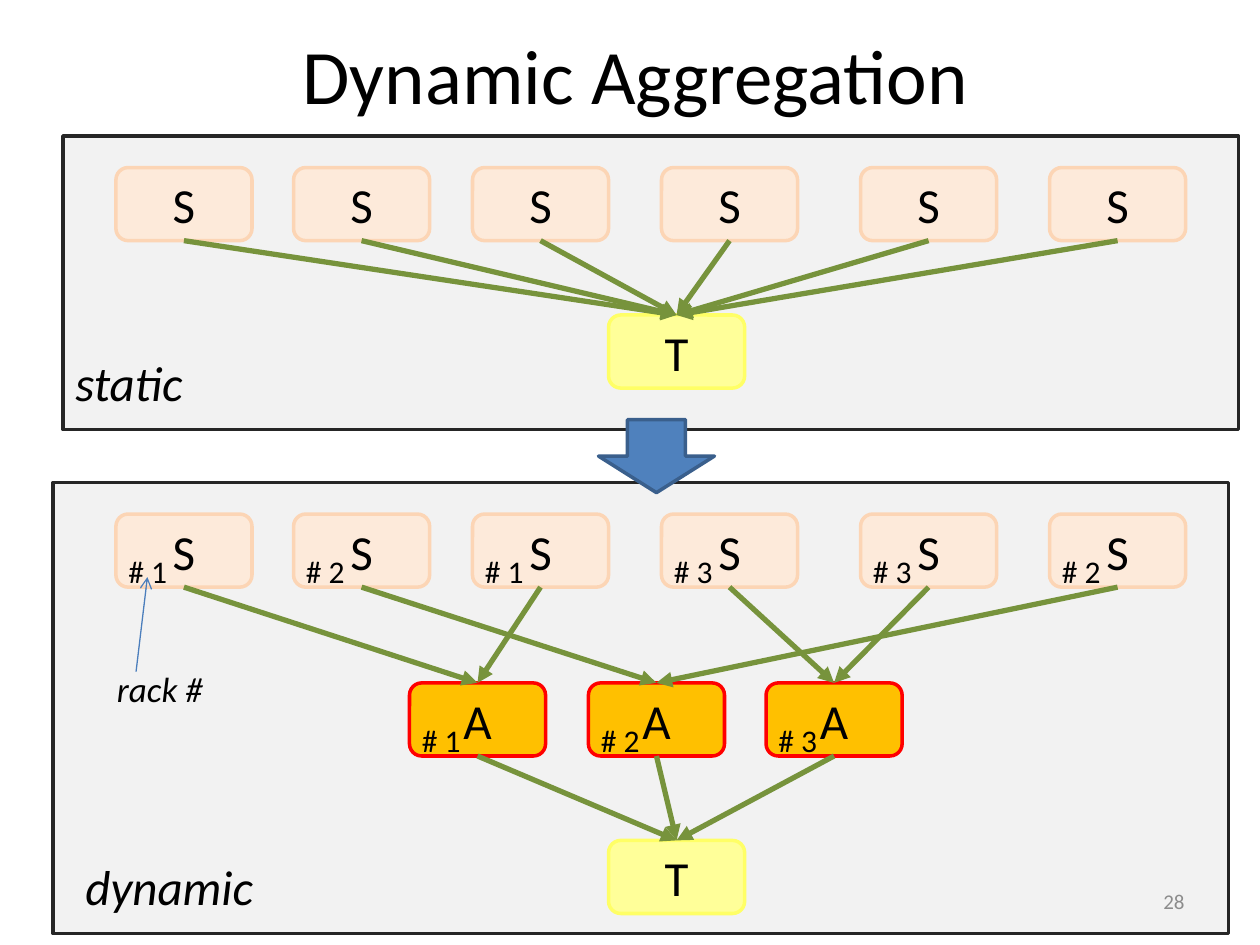
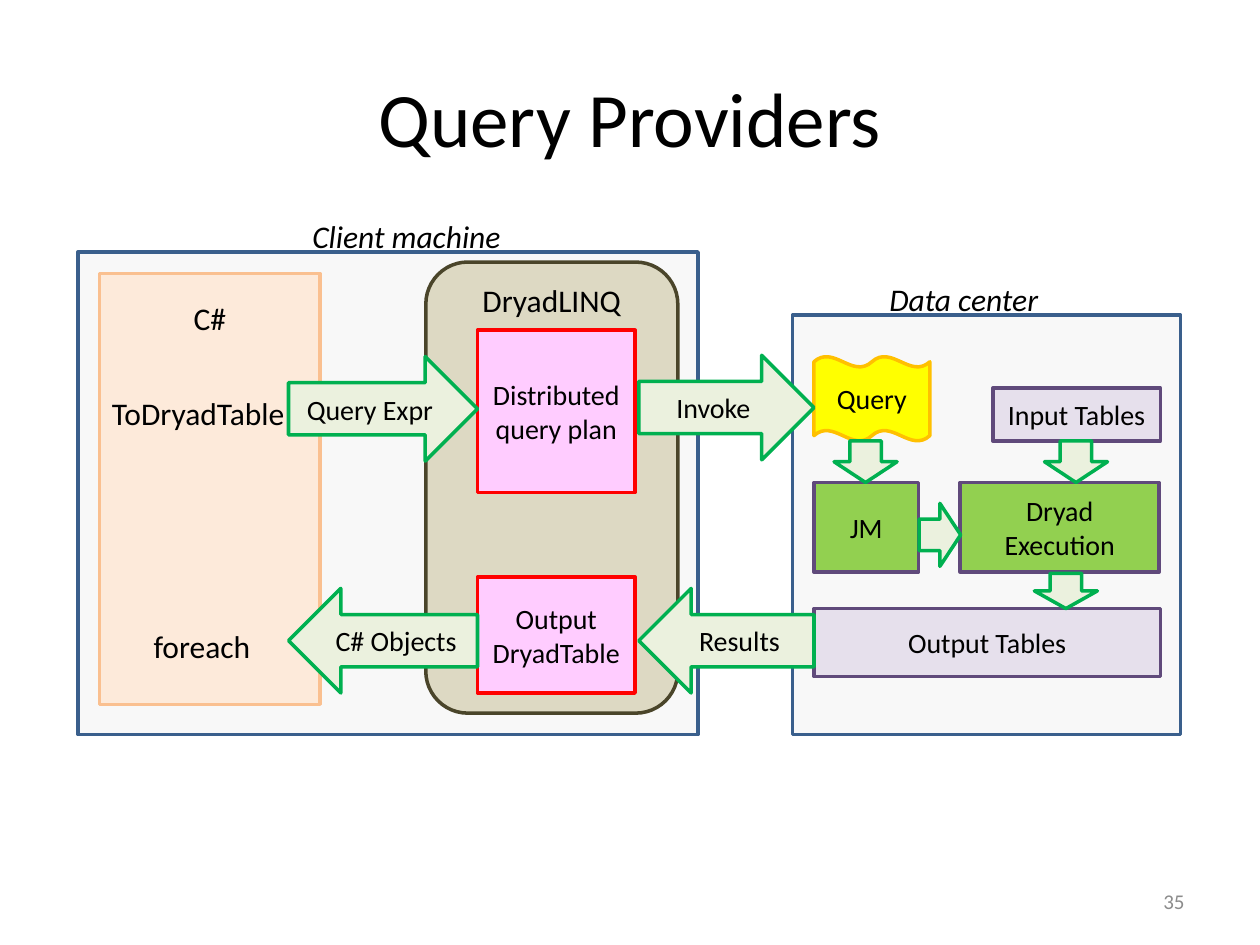
from lxml.etree import SubElement
from pptx import Presentation
from pptx.dml.color import RGBColor
from pptx.enum.shapes import MSO_CONNECTOR, MSO_SHAPE
from pptx.enum.text import MSO_ANCHOR, MSO_AUTO_SIZE, PP_ALIGN
from pptx.oxml.ns import qn
from pptx.util import Inches, Pt

COLOURS = {
    "text": "000000", "page number": "8C8C8C",
    "panel": "F2F2F2", "panel line": "262626",
    "source": "FDEADA", "source line": "FCD5B5",
    "aggregator": "FFC000", "aggregator line": "FF0000",
    "target": "FFFF99", "target line": "FFFF66",
    "step": "4F81BD", "step line": "3A5F8C",
    "edge": "77933C", "pointer": "4B7EBC",
    "machine": "F8F8F8", "machine line": "3A5F8C",
    "provider": "DDD9C3", "provider line": "4A452A",
    "program": "FDEADA", "program line": "FAC090",
    "stage": "FFCCFF", "stage line": "FF0000",
    "flow": "EBF1DE", "flow line": "00B050",
    "query": "FFFF00", "query line": "FFC000",
    "table": "E6E0EC", "table line": "604A7B",
    "job": "92D050", "job line": "604A7B",
}
FONT = "Calibri"


def add_box(slide, kind, place, style, text="", size=16):
    """Add a preset shape whose fill and line colours come from one style name."""
    shape = slide.shapes.add_shape(kind, *map(Inches, place))
    shape.shadow.inherit = False
    shape.fill.solid()
    shape.fill.fore_color.rgb = RGBColor.from_string(COLOURS[style])
    shape.line.color.rgb = RGBColor.from_string(COLOURS[style + " line"])
    shape.line.width = Pt(2)
    if text:
        shape.text_frame.vertical_anchor = MSO_ANCHOR.MIDDLE
        paragraph = shape.text_frame.paragraphs[0]
        paragraph.text = text
        paragraph.alignment = PP_ALIGN.CENTER
        paragraph.font.size = Pt(size)
        paragraph.font.name = FONT
        paragraph.font.color.rgb = RGBColor.from_string(COLOURS["text"])
    return shape


def add_label(slide, place, text, size, align=PP_ALIGN.LEFT, italic=False, wrap=False, colour="text"):
    text_box = slide.shapes.add_textbox(*map(Inches, place))
    frame = text_box.text_frame
    frame.word_wrap = wrap
    if wrap:
        frame.vertical_anchor = MSO_ANCHOR.MIDDLE
    else:
        frame.auto_size = MSO_AUTO_SIZE.SHAPE_TO_FIT_TEXT
    paragraph = frame.paragraphs[0]
    paragraph.text = text
    paragraph.alignment = align
    paragraph.font.size = Pt(size)
    paragraph.font.name = FONT
    paragraph.font.italic = italic
    paragraph.font.color.rgb = RGBColor.from_string(COLOURS[colour])


presentation = Presentation()
presentation.slide_width = Inches(10)
presentation.slide_height = Inches(7.5)
blank_layout = presentation.slide_layouts[6]

# Slide 1: static and dynamic aggregation trees
slide = presentation.slides.add_slide(blank_layout)
add_box(slide, MSO_SHAPE.RECTANGLE, (0.42, 3.83, 9.33, 3.58), "panel")
add_box(slide, MSO_SHAPE.RECTANGLE, (0.5, 1.08, 9.33, 2.33), "panel")

NODE_SIZE = (1.08, 0.58)
SOURCE_LEFTS = (0.92, 2.33, 3.75, 5.25, 6.83, 8.33)
SOURCE_RACKS = (1, 2, 1, 3, 3, 2)
AGGREGATOR_LEFTS = (3.25, 4.67, 6.08)
node_rows = {}
for row, lefts, top, style, letter, racks in (
    ("static sources", SOURCE_LEFTS, 1.33, "source", "S", ()),
    ("static target", (4.83,), 2.5, "target", "T", ()),
    ("sources", SOURCE_LEFTS, 4.08, "source", "S", SOURCE_RACKS),
    ("aggregators", AGGREGATOR_LEFTS, 5.42, "aggregator", "A", (1, 2, 3)),
    ("target", (4.83,), 6.67, "target", "T", ()),
):
    node_rows[row] = [
        add_box(slide, MSO_SHAPE.ROUNDED_RECTANGLE, (left, top, *NODE_SIZE), style, letter, 28)
        for left in lefts
    ]
    for left, rack in zip(lefts, racks):
        add_label(slide, (left, top + 0.25, 0.58, 0.4), f"# {rack}", 18, wrap=True)

edges = [(source, node_rows["static target"][0]) for source in node_rows["static sources"]]
edges += [
    (source, node_rows["aggregators"][rack - 1])
    for source, rack in zip(node_rows["sources"], SOURCE_RACKS)
]
edges += [(aggregator, node_rows["target"][0]) for aggregator in node_rows["aggregators"]]

arrows = []
for start, end in edges:
    connector = slide.shapes.add_connector(MSO_CONNECTOR.STRAIGHT, 0, 0, 0, 0)
    connector.begin_connect(start, 2)
    connector.end_connect(end, 0)
    arrows.append((connector, "edge", 3, "triangle"))
rack_pointer = slide.shapes.add_connector(
    MSO_CONNECTOR.STRAIGHT, *map(Inches, (1.08, 5.33, 1.17, 4.58))
)
arrows.append((rack_pointer, "pointer", 0.75, "arrow"))

for connector, colour, width, head in arrows:
    connector.line.color.rgb = RGBColor.from_string(COLOURS[colour])
    connector.line.width = Pt(width)
    properties = connector._element.spPr
    SubElement(properties.find(qn("a:ln")), qn("a:tailEnd"), type=head)
    SubElement(properties, qn("a:effectLst"))

add_box(slide, MSO_SHAPE.DOWN_ARROW, (4.75, 3.33, 0.92, 0.58), "step")
add_label(slide, (0.5, 2.75, 1.06, 0.57), "static", 28, italic=True)
add_label(slide, (0.58, 6.75, 1.54, 0.57), "dynamic", 28, italic=True)
add_label(slide, (0.83, 5.25, 0.89, 0.44), "rack #", 20, italic=True)

# Slide 2: the path of a query from client to data center and back
slide = presentation.slides.add_slide(blank_layout)
add_box(slide, MSO_SHAPE.RECTANGLE, (6.29, 2.5, 3.08, 3.33), "machine")
add_box(slide, MSO_SHAPE.RECTANGLE, (0.62, 2, 4.92, 3.83), "machine")
add_label(slide, (2.38, 1.67, 1.71, 0.4), "Client machine", 18, italic=True)
add_label(slide, (6.96, 2.17, 1.4, 0.4), "Data center", 18, italic=True)

provider = add_box(
    slide, MSO_SHAPE.ROUNDED_RECTANGLE, (3.38, 2.08, 2, 3.58), "provider", "DryadLINQ", 18
)
program = add_box(slide, MSO_SHAPE.RECTANGLE, (0.79, 2.17, 1.75, 3.42), "program", "C#", 18)
program.text_frame.paragraphs[0].line_spacing = 1.5
for shape in (provider, program):
    shape.text_frame.vertical_anchor = MSO_ANCHOR.TOP

for place, style, text in (
    ((3.79, 2.62, 1.25, 1.29), "stage", "Distributed query plan"),
    ((3.79, 4.58, 1.25, 0.92), "stage", "Output DryadTable"),
    ((6.46, 4.83, 2.75, 0.54), "table", "Output Tables"),
    ((7.88, 3.08, 1.33, 0.42), "table", "Input Tables"),
    ((7.62, 3.83, 1.58, 0.71), "job", "Dryad Execution"),
    ((6.46, 3.83, 0.83, 0.71), "job", "JM"),
):
    add_box(slide, MSO_SHAPE.RECTANGLE, place, style, text)
add_box(slide, MSO_SHAPE.DOUBLE_WAVE, (6.46, 2.83, 0.92, 0.67), "query", "Query")

for kind, place, text in (
    (MSO_SHAPE.RIGHT_ARROW, (2.29, 2.83, 1.5, 0.83), "Query Expr"),
    (MSO_SHAPE.RIGHT_ARROW, (5.07, 2.82, 1.39, 0.83), "Invoke"),
    (MSO_SHAPE.LEFT_ARROW, (5.07, 4.67, 1.39, 0.83), "Results"),
    (MSO_SHAPE.LEFT_ARROW, (2.29, 4.67, 1.5, 0.83), "C# Objects"),
    (MSO_SHAPE.DOWN_ARROW, (6.62, 3.5, 0.5, 0.33), ""),
    (MSO_SHAPE.DOWN_ARROW, (8.29, 3.5, 0.5, 0.33), ""),
    (MSO_SHAPE.DOWN_ARROW, (8.21, 4.55, 0.5, 0.28), ""),
):
    add_box(slide, kind, place, "flow", text)
job_arrow = add_box(slide, MSO_SHAPE.DOWN_ARROW, (7.21, 4.08, 0.5, 0.33), "flow")
job_arrow.rotation = 270

add_label(slide, (0.79, 3.08, 1.59, 0.4), "ToDryadTable", 18)
add_label(slide, (1.12, 4.93, 0.98, 0.4), "foreach", 18)

# Title and page number on every slide
for slide, title, title_place, number in zip(
    presentation.slides,
    ("Dynamic Aggregation", "Query Providers"),
    ((0.42, 0.17, 9.25, 0.83), (0.5, 0.3, 9, 1.25)),
    ("28", "35"),
):
    add_label(slide, title_place, title, 44, PP_ALIGN.CENTER, wrap=True)
    add_label(
        slide, (7.17, 6.95, 2.33, 0.4), number, 12, PP_ALIGN.RIGHT, wrap=True, colour="page number"
    )

presentation.save("out.pptx")
